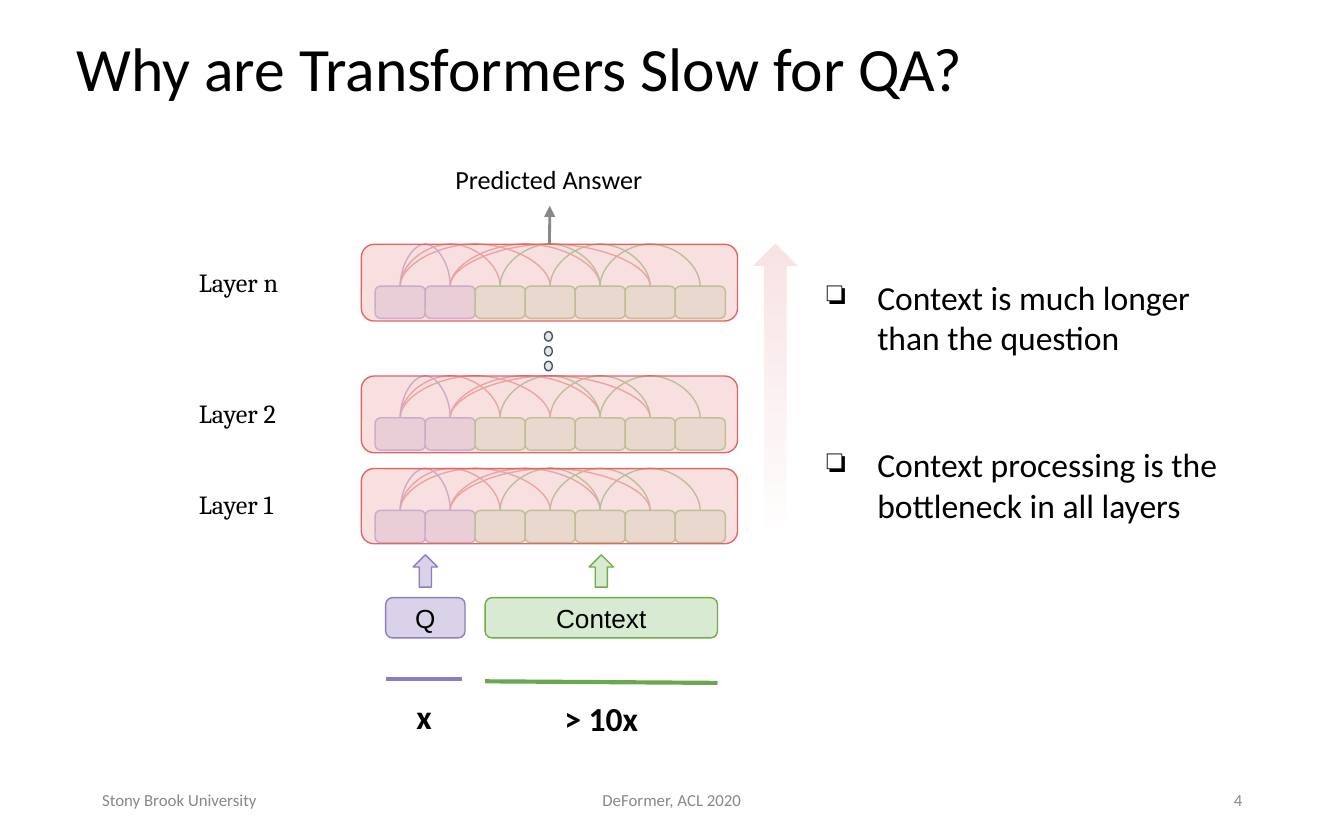
"""Build the slide on why Transformers are slow for question answering."""
from typing import NamedTuple

from lxml import etree
from pptx import Presentation
from pptx.dml.color import RGBColor
from pptx.enum import shapes as es, text as et
from pptx.oxml import ns, parse_xml
from pptx.util import Cm, Emu, Pt

KIND = es.MSO_SHAPE
LEFT, MID, RIGHT = et.PP_ALIGN.LEFT, et.PP_ALIGN.CENTER, et.PP_ALIGN.RIGHT
RED, PLUM, GREEN, LEAF = "E06666", "8E7CC3", "6AA84F", "70AD47"
LILAC, MINT, PINK, GREY = "D9D2E9", "D9EAD3", "F4CCCC", "888888"
CELL, STEP, START = 0.95, 0.945, 7.09


class Box(NamedTuple):
    x: float
    y: float
    w: float
    h: float


class Style(NamedTuple):
    size: float = 14
    font: str = "Calibri"
    color: str = "000000"
    bold: bool = False
    align: int = LEFT
    anchor: int = et.MSO_ANCHOR.MIDDLE
    pad: tuple = (0.25, 0.25)


class Layer(NamedTuple):
    name: str
    top: float
    high: float
    label: float


class Arc(NamedTuple):
    a: int
    b: int
    color: str


LAYERS = [Layer("Layer 1", 8.86, 1.42, 8.99),
          Layer("Layer 2", 7.11, 1.45, 7.26),
          Layer("Layer n", 4.62, 1.45, 4.78)]
ARCS = [Arc(1, 4, RED), Arc(0, 2, RED), Arc(2, 4, GREEN), Arc(3, 5, GREEN),
        Arc(0, 3, RED), Arc(0, 1, PLUM), Arc(4, 6, GREEN), Arc(1, 5, RED)]


def rgb(code: str) -> RGBColor:
    return RGBColor.from_string(code)


def sub(node, tag: str, **attrs: str):
    return etree.SubElement(node, ns.qn(tag), attrs)


def write(frame, words: str, style: Style) -> None:
    frame.text = words
    frame.word_wrap = True
    frame.vertical_anchor = style.anchor
    frame.margin_left = frame.margin_right = Cm(style.pad[0])
    frame.margin_top = frame.margin_bottom = Cm(style.pad[1])
    para = frame.paragraphs[0]
    para.alignment = style.align
    font = para.runs[0].font
    font.size, font.name, font.bold = Pt(style.size), style.font, style.bold
    font.color.rgb = rgb(style.color)


def add_text(slide, box: Box, words: str, style: Style):
    frame = slide.shapes.add_textbox(*map(Cm, box)).text_frame
    write(frame, words, style)
    return frame


def add_shape(slide, kind, box: Box, fill: str, line: str):
    shape = slide.shapes.add_shape(kind, *map(Cm, box))
    shape.shadow.inherit = False
    shape.fill.solid()
    shape.fill.fore_color.rgb = rgb(fill)
    shape.line.color.rgb = rgb(line)
    shape.line.width = Pt(0.75)
    return shape


def add_line(slide, ends: tuple, color: str, width: float,
             kind=es.MSO_CONNECTOR.STRAIGHT):
    line = slide.shapes.add_connector(kind, *map(Cm, ends))
    line.line.color.rgb = rgb(color)
    line.line.width = Pt(width)
    sub(line._element.spPr, "a:effectLst")
    return line


def add_arc(slide, arc: Arc, y: float) -> None:
    x, span = START + STEP * (arc.a + arc.b + 1) / 2, STEP * (arc.b - arc.a)
    line = add_line(slide, (x, y - span / 2, x, y + span / 2), arc.color, 0.75,
                    es.MSO_CONNECTOR.CURVE)
    line.width = Emu(667)
    props = line._element.spPr
    frame = props.find(ns.qn("a:xfrm"))
    frame.set("rot", "16200000")
    frame.set("flipH", "1")
    guides = props.find(ns.qn("a:prstGeom")).find(ns.qn("a:avLst"))
    sub(guides, "a:gd", name="adj1", fmla="val -39687500")


def add_layer(slide, layer: Layer):
    y = layer.top + 0.79
    for arc in ARCS:
        add_arc(slide, arc, y)
    for i in range(7):
        fill, line = (LILAC, PLUM) if i < 2 else (MINT, LEAF)
        add_shape(slide, KIND.ROUNDED_RECTANGLE,
                  Box(START + STEP * i, y, CELL, 0.61), fill, line)
    panel = add_shape(slide, KIND.ROUNDED_RECTANGLE,
                      Box(6.83, layer.top, 7.11, layer.high), PINK, RED)
    tint = panel._element.spPr.find(ns.qn("a:solidFill"))[0]
    sub(tint, "a:alpha", val="60000")
    add_text(slide, Box(3.51, layer.label, 2.21, 1.17), layer.name,
             Style(font="Cambria", anchor=et.MSO_ANCHOR.TOP))
    return panel


def add_input(slide, words: str, x: float, w: float, fill: str, line: str) -> None:
    block = add_shape(slide, KIND.ROUNDED_RECTANGLE, Box(x, 11.3, w, 0.76), fill, line)
    write(block.text_frame, words, Style(font="Arial", align=MID))
    add_shape(slide, KIND.UP_ARROW, Box(x + w / 2 - 0.23, 10.49, 0.46, 0.61), fill, line)


def add_point(slide, y: float, words: str) -> None:
    frame = add_text(slide, Box(15.06, y, 8.79, 2.26), words,
                     Style(18, anchor=et.MSO_ANCHOR.TOP))
    props = frame.paragraphs[0]._p.get_or_add_pPr()
    props.set("marL", str(Cm(1.27)))
    props.set("indent", str(Cm(-0.95)))
    sub(sub(props, "a:buClr"), "a:srgbClr", val="000000")
    sub(props, "a:buChar", char="❏")


def add_fade(slide) -> None:
    arrow = add_shape(slide, KIND.UP_ARROW, Box(14.25, 4.62, 0.81, 5.64), PINK, PINK)
    arrow.line.fill.background()
    props = arrow._element.spPr
    old = props.find(ns.qn("a:solidFill"))
    stops = "".join(
        f'<a:gs pos="{pos}"><a:srgbClr val="{code}"><a:alpha val="55000"/></a:srgbClr></a:gs>'
        for pos, code in ((0, "FFFFFF"), (100000, PINK)))
    props.replace(old, parse_xml(
        f'<a:gradFill {ns.nsdecls("a")}><a:gsLst>{stops}</a:gsLst>'
        '<a:lin ang="16200000" scaled="0"/></a:gradFill>'))


def main() -> None:
    deck = Presentation()
    deck.slide_width, deck.slide_height = Cm(25.4), Cm(15.88)
    slide = deck.slides.add_slide(deck.slide_layouts[5])
    title = slide.shapes.title
    title.left, title.top, title.width, title.height = map(Cm, (1.27, 0.3, 22.86, 2.11))
    write(title.text_frame, "Why are Transformers Slow for QA?", Style(33, pad=(0.18, 0.1)))
    title.text_frame.paragraphs[0].line_spacing = 0.9

    for x, w, words, align in ((1.75, 5.72, "Stony Brook University", LEFT),
                               (8.41, 8.57, "DeFormer, ACL 2020", MID),
                               (17.94, 5.72, "4", RIGHT)):
        add_text(slide, Box(x, 14.71, w, 0.84), words,
                 Style(9, color=GREY, align=align, pad=(0.18, 0.1)))

    add_input(slide, "Context", 9.17, 4.39, MINT, LEAF)
    add_input(slide, "Q", 7.29, 1.5, LILAC, PLUM)
    panels = [add_layer(slide, layer) for layer in LAYERS]
    add_text(slide, Box(8.33, 2.87, 4.09, 1.02), "Predicted Answer", Style(align=MID))
    out = add_line(slide, (10.39, 4.62, 10.39, 3.89), GREY, 1.5)
    out.begin_connect(panels[-1], 0)
    sub(out.line._get_or_add_ln(), "a:tailEnd", type="triangle")
    for i in range(3):
        add_shape(slide, KIND.OVAL, Box(10.29, 6.27 + 0.28 * i, 0.15, 0.18),
                  "E7E6E6", "44546A")

    add_point(slide, 4.98, "Context is much longer than the question")
    add_point(slide, 8.15, "Context processing is the bottleneck in all layers")
    add_fade(slide)
    for ends, color, words in (((9.17, 12.88, 13.56, 12.91), GREEN, "> 10x"),
                               ((7.29, 12.83, 8.74, 12.83), PLUM, "x")):
        add_line(slide, ends, color, 2.25)
        add_text(slide, Box(ends[0], ends[1] + 0.19, ends[2] - ends[0], 1.02), words,
                 Style(18, bold=True, align=MID))
    deck.save("out.pptx")


if __name__ == "__main__":
    main()
